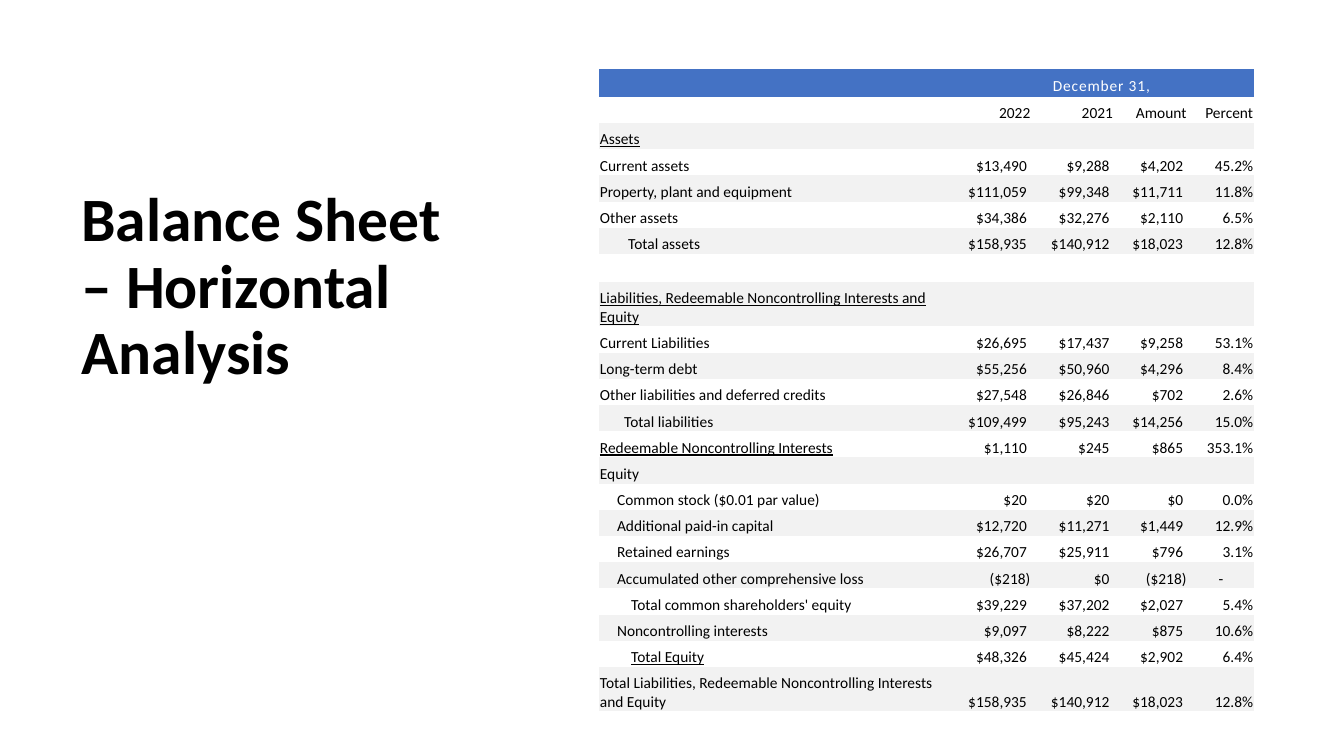
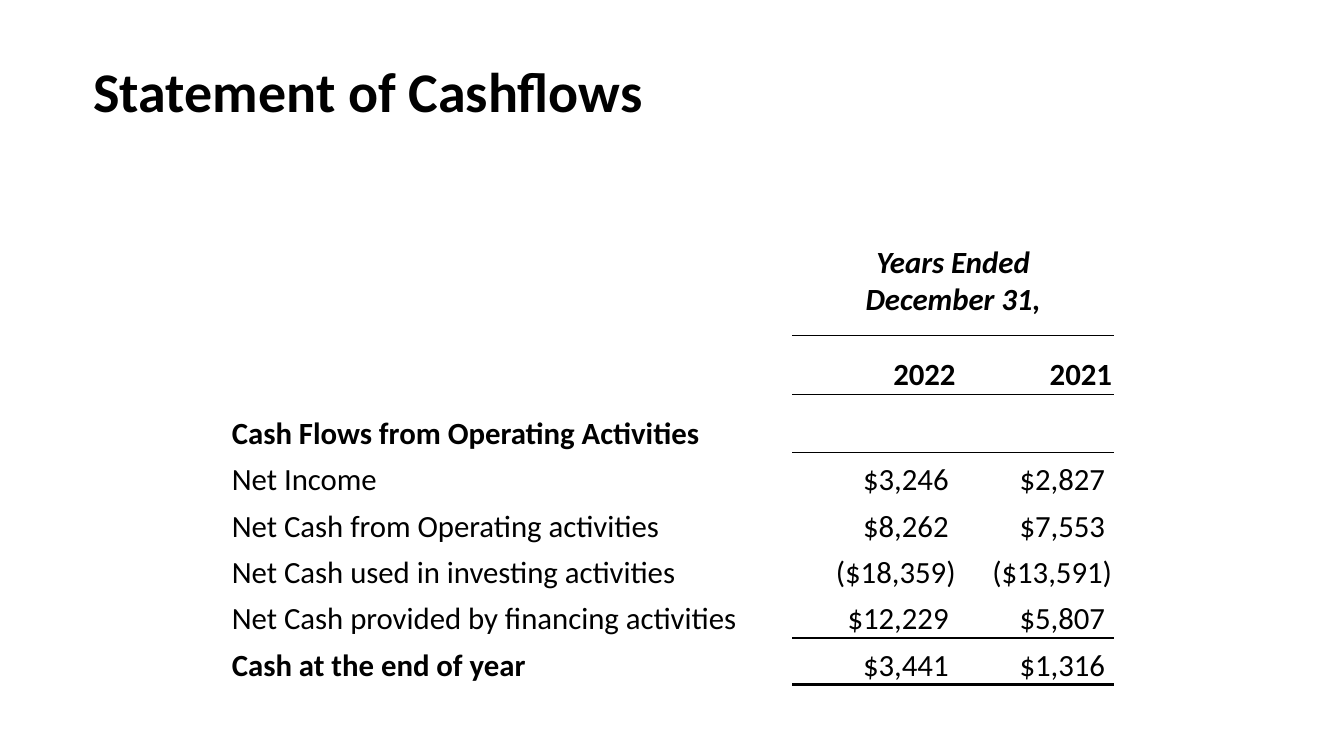
from collections import namedtuple
from dataclasses import dataclass

from lxml import etree
from pptx import Presentation
from pptx.dml.color import RGBColor
from pptx.enum.shapes import MSO_SHAPE
from pptx.enum.text import MSO_ANCHOR, PP_ALIGN
from pptx.oxml.ns import qn
from pptx.util import Inches, Pt

Box = namedtuple("Box", "left top width height")
Entry = namedtuple("Entry", "label values indent underline", defaults=((), 0, False))


@dataclass(frozen=True)
class Theme:
    font: str = "Calibri"
    ink: str = "000000"
    paper: str = "FFFFFF"
    header: str = "4472C4"
    band: str = "F2F2F2"
    side_title: int = 44
    top_title: int = 40
    balance_text: int = 11
    cash_text: int = 22
    header_spacing: int = 60
    plain_table: str = "{2D5ABB26-0587-4C30-8999-92F81FD0307C}"


THEME = Theme()
PAGE = Box(0, 0, 13.33, 7.5)

BALANCE_COLUMNS = (3.47, 0.82, 0.82, 0.73, 0.66)
BALANCE_HEADINGS = ("2022", "2021", "Amount", "Percent")
BALANCE_ROW, BALANCE_GAP, BALANCE_TWO_LINES = 0.26, 0.28, 0.44
BALANCE_INSETS = (0.01, 0.07, 0.01, 0)
BALANCE = (
    Entry("Assets", underline=True),
    Entry("Current assets", ("$13,490", "$9,288", "$4,202", "45.2%")),
    Entry("Property, plant and equipment", ("$111,059", "$99,348", "$11,711", "11.8%")),
    Entry("Other assets", ("$34,386", "$32,276", "$2,110", "6.5%")),
    Entry("Total assets", ("$158,935", "$140,912", "$18,023", "12.8%"), 0.28),
    Entry(""),
    Entry("Liabilities, Redeemable Noncontrolling Interests and Equity", underline=True),
    Entry("Current Liabilities", ("$26,695", "$17,437", "$9,258", "53.1%")),
    Entry("Long-term debt", ("$55,256", "$50,960", "$4,296", "8.4%")),
    Entry("Other liabilities and deferred credits", ("$27,548", "$26,846", "$702", "2.6%")),
    Entry("Total liabilities", ("$109,499", "$95,243", "$14,256", "15.0%"), 0.24),
    Entry("Redeemable Noncontrolling Interests", ("$1,110", "$245", "$865", "353.1%"),
          underline=True),
    Entry("Equity"),
    Entry("Common stock ($0.01 par value)", ("$20", "$20", "$0", "0.0%"), 0.17),
    Entry("Additional paid-in capital", ("$12,720", "$11,271", "$1,449", "12.9%"), 0.17),
    Entry("Retained earnings", ("$26,707", "$25,911", "$796", "3.1%"), 0.17),
    Entry("Accumulated other comprehensive loss", ("($218)", "$0", "($218)", "-"), 0.17),
    Entry("Total common shareholders' equity", ("$39,229", "$37,202", "$2,027", "5.4%"), 0.31),
    Entry("Noncontrolling interests", ("$9,097", "$8,222", "$875", "10.6%"), 0.17),
    Entry("Total Equity", ("$48,326", "$45,424", "$2,902", "6.4%"), 0.31, True),
    Entry("Total Liabilities, Redeemable Noncontrolling Interests and Equity",
          ("$158,935", "$140,912", "$18,023", "12.8%")),
)

CASH_COLUMNS = (5.57, 1.64, 1.55)
CASH_ROWS = (1.01, 0.58, 0.58, 0.46, 0.46, 0.46, 0.46, 0.46)
CASH_INSETS = (0.02, 0.02, 0.02, 0)
CASH_HEADER_INSETS = (0.2, 0.1, 0.2, 0.1)
CASH_RULES = {0: 1, 1: 1, 6: 1, 7: 2}  # row above the line: width in points
CASH_FLOWS = (
    Entry("Cash Flows from Operating Activities"),
    Entry("Net Income", ("$3,246", "$2,827")),
    Entry("Net Cash from Operating activities", ("$8,262", "$7,553")),
    Entry("Net Cash used in investing activities", ("($18,359)", "($13,591)")),
    Entry("Net Cash provided by financing activities", ("$12,229", "$5,807")),
    Entry("Cash at the end of year", ("$3,441", "$1,316")),
)


def rgb(color):
    return RGBColor.from_string(color)


def place(box):
    return [Inches(length) for length in box]


def format_runs(paragraph, size, color=THEME.ink, bold=False, italic=False, underline=False):
    for run in paragraph.runs:
        font = run.font
        font.name, font.size = THEME.font, Pt(size)
        font.bold, font.italic, font.underline = bold, italic, underline
        font.color.rgb = rgb(color)


def add_title(slide, panel_box, title_box, title, size):
    """White panel with a bold title in front of it."""
    panel = slide.shapes.add_shape(MSO_SHAPE.RECTANGLE, *place(panel_box))
    panel.shadow.inherit = False
    panel.fill.solid()
    panel.fill.fore_color.rgb = rgb(THEME.paper)
    panel.line.fill.background()
    frame = slide.shapes.add_textbox(*place(title_box)).text_frame
    frame.word_wrap = True
    frame.vertical_anchor = MSO_ANCHOR.MIDDLE
    frame.text = title
    frame.paragraphs[0].line_spacing = 0.9
    format_runs(frame.paragraphs[0], size, bold=True)


def add_plain_table(slide, box, columns, rows):
    """Unstyled table, with columns shared out over the width of the box."""
    table = slide.shapes.add_table(len(rows), len(columns), *place(box)).table
    table.first_row = table.horz_banding = False
    table._tbl.tblPr.find(qn("a:tableStyleId")).text = THEME.plain_table
    for column, share in zip(table.columns, columns):
        column.width = Inches(box.width * share / sum(columns))
    for row, height in zip(table.rows, rows):
        row.height = Inches(height)
    return table


def write_cell(cell, text, size, insets, align=PP_ALIGN.LEFT, anchor=MSO_ANCHOR.BOTTOM,
               indent=0, fill=None, **style):
    cell.margin_left, cell.margin_top, cell.margin_right, cell.margin_bottom = place(insets)
    cell.vertical_anchor = anchor
    if fill:
        cell.fill.solid()
        cell.fill.fore_color.rgb = rgb(fill)
    else:
        cell.fill.background()
    paragraph = cell.text_frame.paragraphs[0]
    paragraph.alignment = align
    if text:
        paragraph.text = text
        paragraph._p.get_or_add_pPr().set("marL", str(Inches(indent)))
        format_runs(paragraph, size, **style)
    else:
        # An empty cell keeps the row low only if its end mark is small too
        etree.SubElement(paragraph._p, qn("a:endParaRPr")).set("sz", str(size * 100))


def write_values(table, row, values, size, insets, **style):
    """Figures flush right; a space lines them up with closing brackets."""
    for column in range(1, len(table.columns)):
        value = values[column - 1] if values else ""
        text = value + " " if value.startswith("$") else value
        align = PP_ALIGN.CENTER if value == "-" else PP_ALIGN.RIGHT
        write_cell(table.cell(row, column), text, size, insets, align, **style)


def add_edge(cell, edge, width):
    line = etree.Element(qn(f"a:{edge}"), w=str(Pt(width)))
    fill = etree.SubElement(line, qn("a:solidFill"))
    etree.SubElement(fill, qn("a:srgbClr")).set("val", THEME.ink)
    cell._tc.get_or_add_tcPr().insert(0, line)


def add_rule(table, row, width):
    """Line below the figures of a row, shared with the row under it."""
    for column in range(1, len(table.columns)):
        add_edge(table.cell(row, column), "lnB", width)
        if row + 1 < len(table.rows):
            add_edge(table.cell(row + 1, column), "lnT", width)


def balance_row_height(entry):
    if not entry.label:
        return BALANCE_GAP
    return BALANCE_TWO_LINES if len(entry.label) > 50 else BALANCE_ROW


def add_balance_table(slide, box):
    heights = [BALANCE_GAP, BALANCE_ROW, *map(balance_row_height, BALANCE)]
    table = add_plain_table(slide, box, BALANCE_COLUMNS, heights)
    size, insets = THEME.balance_text, BALANCE_INSETS

    # Header band
    for column in range(len(BALANCE_COLUMNS)):
        write_cell(table.cell(0, column), "December 31," if column == 1 else "", size, insets,
                   PP_ALIGN.CENTER, MSO_ANCHOR.MIDDLE, fill=THEME.header, color=THEME.paper)
    date = table.cell(0, 1)
    date.merge(table.cell(0, len(BALANCE_COLUMNS) - 1))
    date_run = date.text_frame.paragraphs[0].runs[0]
    date_run.font._element.set("spc", str(THEME.header_spacing))

    # Column headings and banded entries
    write_cell(table.cell(1, 0), "", size, insets)
    for column, heading in enumerate(BALANCE_HEADINGS, 1):
        write_cell(table.cell(1, column), heading, size, insets, PP_ALIGN.RIGHT)
    for row, entry in enumerate(BALANCE, 2):
        fill = THEME.band if row % 2 == 0 else None
        write_cell(table.cell(row, 0), entry.label, size, insets, indent=entry.indent,
                   fill=fill, underline=entry.underline)
        write_values(table, row, entry.values, size, insets, fill=fill)


def add_cash_table(slide, box):
    table = add_plain_table(slide, box, CASH_COLUMNS, CASH_ROWS)
    size, insets = THEME.cash_text, CASH_INSETS

    # Period and years
    for row in (0, 1):
        write_cell(table.cell(row, 0), "", size, insets)
    period = table.cell(0, 1)
    period.merge(table.cell(0, 2))
    write_cell(period, "Years Ended December 31,", size, CASH_HEADER_INSETS, PP_ALIGN.CENTER,
               MSO_ANCHOR.TOP, bold=True, italic=True)
    write_values(table, 1, ("2022", "2021"), size, insets, bold=True)

    # Entries, the first and last with a bold label
    for row, entry in enumerate(CASH_FLOWS, 2):
        write_cell(table.cell(row, 0), entry.label, size, insets,
                   bold=entry in (CASH_FLOWS[0], CASH_FLOWS[-1]))
        write_values(table, row, entry.values, size, insets)
    for row, width in CASH_RULES.items():
        add_rule(table, row, width)


def balance_slide(slide, page):
    add_title(slide, Box(page.left, page.top, 5.05, page.height), Box(0.71, 0.68, 3.81, 4.36),
              "Balance Sheet – Horizontal Analysis", THEME.side_title)
    add_balance_table(slide, Box(5.94, 0.68, 6.5, 6.29))


def cash_slide(slide, page):
    add_title(slide, Box(page.left, page.top, page.width, 1.86), Box(0.83, 0.3, 11.46, 1.27),
              "Statement of Cashflows", THEME.top_title)
    add_cash_table(slide, Box(2.28, 2.32, 8.77, 4.55))


def main():
    deck = Presentation()
    deck.slide_width, deck.slide_height = Inches(PAGE.width), Inches(PAGE.height)
    for build in (balance_slide, cash_slide):
        build(deck.slides.add_slide(deck.slide_layouts[6]), PAGE)
    deck.save("out.pptx")


if __name__ == "__main__":
    main()
